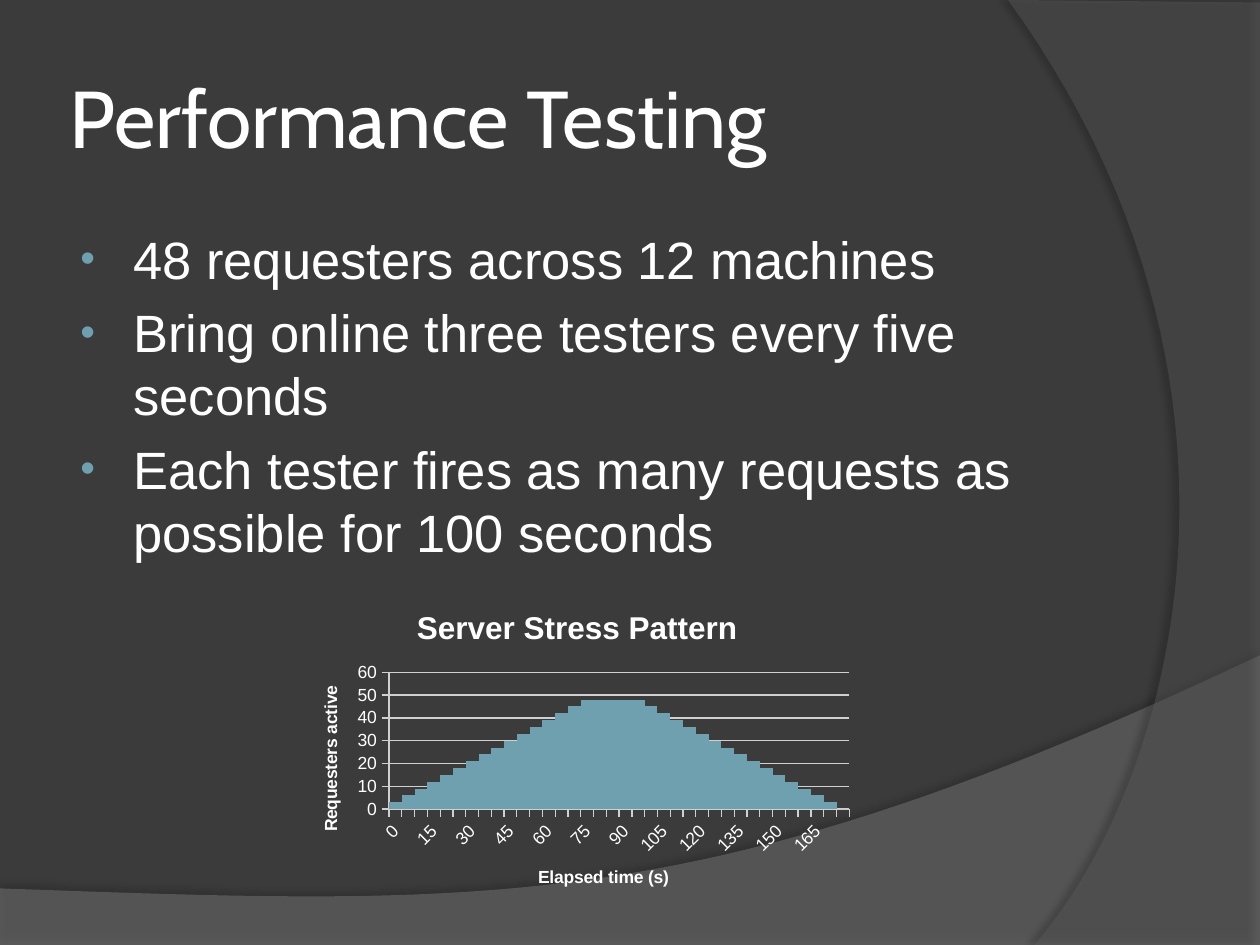
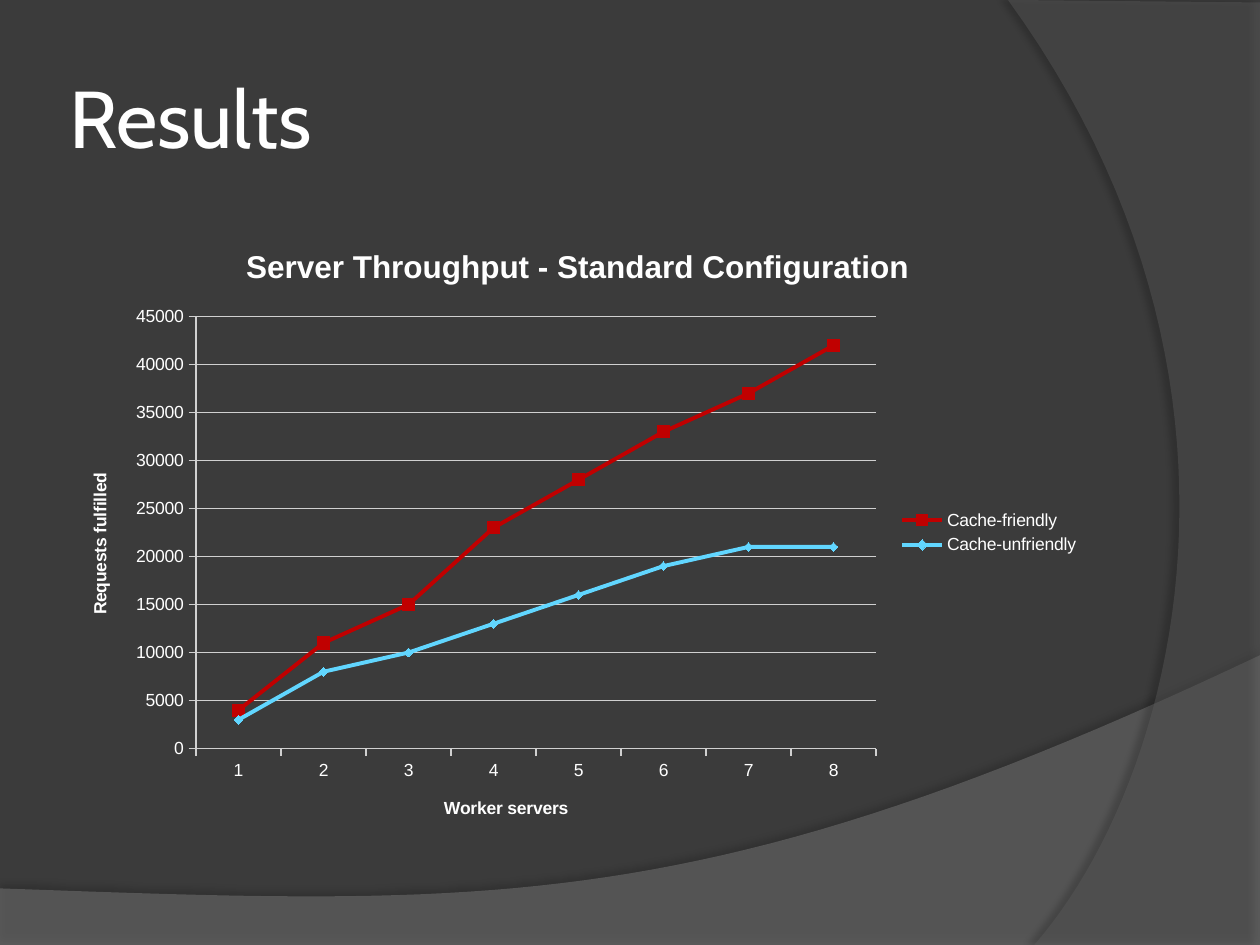
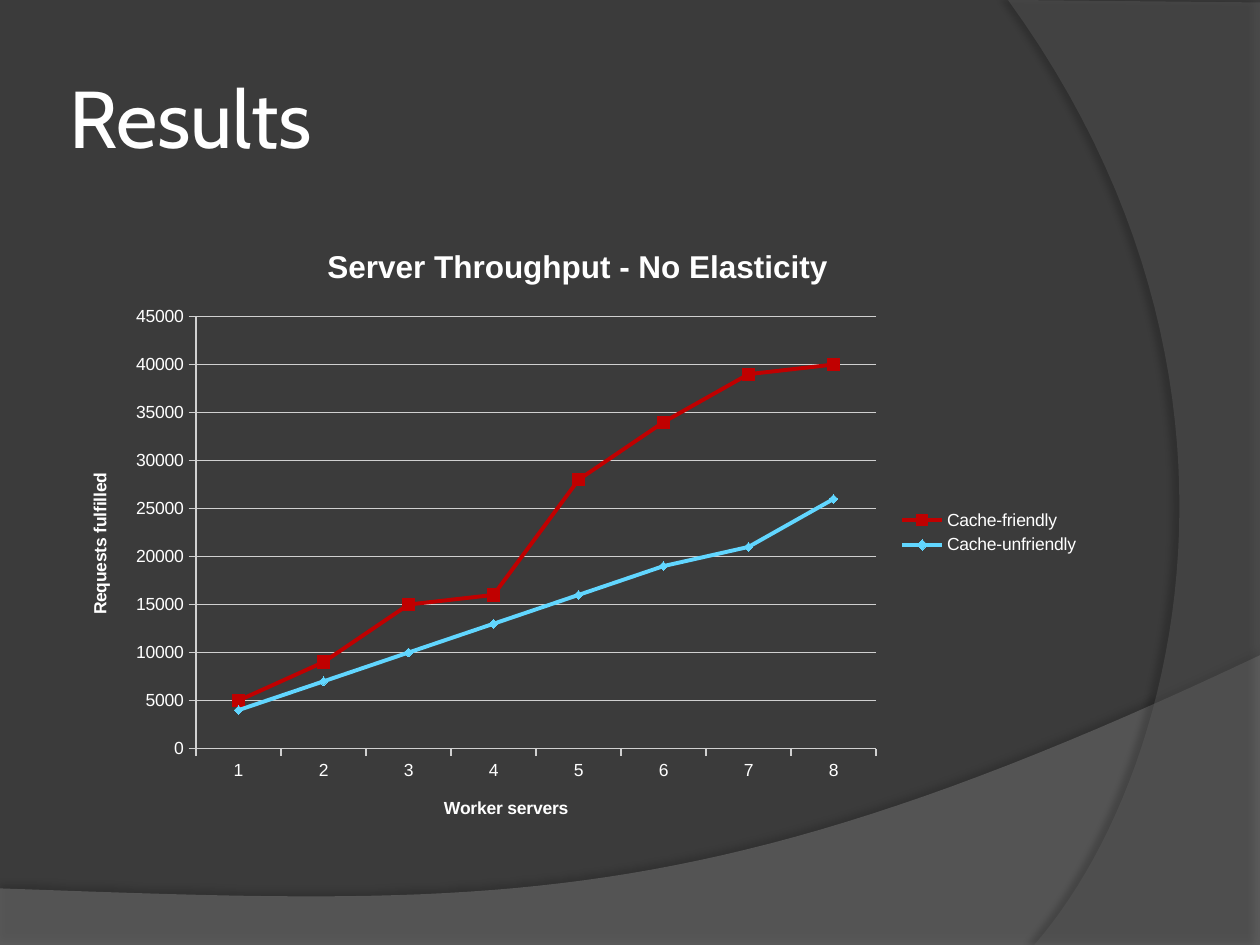
import pptx
import pptx.util
import pptx.chart.data
from pptx.dml.color import RGBColor
from pptx.enum.chart import XL_CHART_TYPE, XL_LEGEND_POSITION, XL_MARKER_STYLE, XL_TICK_MARK
from pptx.enum.text import MSO_ANCHOR
from pptx.oxml import parse_xml
from pptx.oxml.ns import nsdecls, qn

Cm, Pt = pptx.util.Cm, pptx.util.Pt

DARK = RGBColor(0x3B, 0x3B, 0x3B)
GREY = RGBColor(0x80, 0x80, 0x80)
SLATE = RGBColor(0x5F, 0x5F, 0x5F)
WHITE = RGBColor(0xFF, 0xFF, 0xFF)
PALE = RGBColor(0xD0, 0xD0, 0xD0)
TEAL = RGBColor(0x6E, 0xA0, 0xB0)
RED = RGBColor(0xC0, 0x00, 0x00)
SKY = RGBColor(0x61, 0xD6, 0xFF)
HEAD, BODY = "Cabin", "Arial"

# Content: all lengths in centimetres
SIZE = (25.4, 19.05)
TITLE = (1.27, 0.76, 20.75, 3.18)
MAIN = (1.27, 4.45, 20.75, 12.57)
SMALL = (5.92, 11.86, 11.43, 6.55)

# Straight corners, then the controls and end of the curve that closes the band
BANDS = [
    dict(line=[(0, 17.91), (0, 19.05), (25.4, 19.05), (25.4, 13.21)],
         curve=[(14.2, 18.52), (9.93, 18.26), (0, 17.91)],
         color=GREY, alpha=45, shade=35, dist=3.5, turn=270),
    dict(line=[(25.4, 0.05), (25.4, 19.05), (20.85, 19.05)],
         curve=[(23.75, 15.72), (25.86, 7.62), (20.32, 0)],
         color=SLATE, alpha=40, shade=45, dist=4, turn=180),
]

RAMP = list(range(3, 48, 3))
STRESS = dict(
    title="Server Stress Pattern", x="Elapsed time (s)", y="Requesters active",
    cats=[str(sec) for sec in range(0, 180, 5)], box=SMALL, bars=True,
    rows=[("Series 1", RAMP + [48] * 5 + RAMP[::-1] + [0], TEAL)])


def load(title, good, bad):
    """Describe a throughput chart, its values in thousands."""
    return dict(
        title=title, x="Worker servers", y="Requests fulfilled",
        cats=[str(num) for num in range(1, 9)], box=MAIN, bars=False,
        rows=[("Cache-friendly", [val * 1000 for val in good], RED),
              ("Cache-unfriendly", [val * 1000 for val in bad], SKY)])


SLIDES = [
    dict(title="Performance Testing", chart=STRESS, points=[
        "48 requesters across 12 machines",
        "Bring online three testers every five seconds",
        "Each tester fires as many requests as possible for 100 seconds"]),
    dict(title="Results", chart=load(
        "Server Throughput - Standard Configuration",
        [4, 11, 15, 23, 28, 33, 37, 42], [3, 8, 10, 13, 16, 19, 21, 21])),
    dict(title="Results", chart=load(
        "Server Throughput - No Elasticity",
        [5, 9, 15, 16, 28, 34, 39, 40], [4, 7, 10, 13, 16, 19, 21, 26])),
]
MARKS = [(XL_MARKER_STYLE.SQUARE, 7), (XL_MARKER_STYLE.DIAMOND, 5)]


def style(font, size, bold=False, name=BODY):
    font.name, font.size, font.bold = name, Pt(size), bold
    font.color.rgb = WHITE


def text(slide, lines, box, size, name=BODY, anchor=MSO_ANCHOR.TOP, bullet=False):
    frame = slide.shapes.add_textbox(*map(Cm, box)).text_frame
    frame.word_wrap = True
    frame.vertical_anchor = anchor
    frame.margin_left = frame.margin_right = Cm(0.25 if bullet else 0.13)
    for pos, line in enumerate(lines):
        para = frame.paragraphs[0] if pos == 0 else frame.add_paragraph()
        run = para.add_run()
        run.text = line
        style(run.font, size, name=name)
        if bullet:
            para.space_before = Pt(size * 0.2)
            props = para._p.get_or_add_pPr()
            props.set("marL", str(Cm(1.17)))
            props.set("indent", str(Cm(-1.07)))
            for part in (f'<a:buClr {nsdecls("a")}><a:srgbClr val="{TEAL}"/></a:buClr>',
                         f'<a:buSzPct {nsdecls("a")} val="80000"/>',
                         f'<a:buFont {nsdecls("a")} typeface="{BODY}"/>',
                         f'<a:buChar {nsdecls("a")} char="•"/>'):
                props.append(parse_xml(part))


def bend(start, one, two, end, steps=48):
    """Points along a cubic curve, its start left out."""
    for step in range(1, steps + 1):
        t = step / steps
        s = 1 - t
        yield tuple(s**3 * a + 3 * s * s * t * b + 3 * s * t * t * c + t**3 * d
                    for a, b, c, d in zip(start, one, two, end))


def band(slide, line, curve, color, alpha, shade, dist, turn):
    dots = [(Cm(x), Cm(y)) for x, y in line + list(bend(line[-1], *curve))]
    pen = slide.shapes.build_freeform(*dots[0])
    pen.add_line_segments(dots[1:], close=True)
    shape = pen.convert_to_shape()
    shape.line.fill.background()
    shape.fill.solid()
    shape.fill.fore_color.rgb = color
    tint = shape._element.spPr.find(qn("a:solidFill"))[0]
    tint.append(parse_xml(f'<a:alpha {nsdecls("a")} val="{alpha * 1000}"/>'))
    shape._element.spPr.append(parse_xml(
        f'<a:effectLst {nsdecls("a")}><a:outerShdw blurRad="{Pt(4)}" dist="{Pt(dist)}" '
        f'dir="{turn * 60000}" algn="ctr" rotWithShape="0"><a:srgbClr val="000000">'
        f'<a:alpha val="{shade * 1000}"/></a:srgbClr></a:outerShdw></a:effectLst>'))


def label(owner, words, size):
    frame = owner.text_frame
    frame.text = words
    style(frame.paragraphs[0].runs[0].font, size, bold=True)


def graph(slide, title, x, y, cats, box, bars, rows):
    data = pptx.chart.data.CategoryChartData()
    data.categories = cats
    for name, vals, _ in rows:
        data.add_series(name, vals)
    kind = XL_CHART_TYPE.COLUMN_CLUSTERED if bars else XL_CHART_TYPE.LINE_MARKERS
    chart = slide.shapes.add_chart(kind, *map(Cm, box), data).chart
    style(chart.font, 10)
    chart.has_title = True
    label(chart.chart_title, title, 18)
    chart.chart_title.include_in_layout = False

    # Axes
    for axis, words in ((chart.category_axis, x), (chart.value_axis, y)):
        axis.has_title = True
        label(axis.axis_title, words, 10)
        axis.major_tick_mark = XL_TICK_MARK.OUTSIDE
        axis.minor_tick_mark = XL_TICK_MARK.NONE
        axis.format.line.color.rgb = PALE
        axis.format.line.width = Pt(0.75)
    rule = chart.value_axis.major_gridlines.format.line
    rule.color.rgb, rule.width = PALE, Pt(0.75)

    # Series
    plot = chart.plots[0]
    plot.vary_by_categories = False
    for series, (_, _, color), (mark, size) in zip(plot.series, rows, MARKS):
        if bars:
            series.format.fill.solid()
            series.format.fill.fore_color.rgb = color
            continue
        series.smooth = False
        series.format.line.color.rgb = color
        series.format.line.width = Pt(2.25)
        series.marker.style, series.marker.size = mark, size
        series.marker.format.fill.solid()
        series.marker.format.fill.fore_color.rgb = color
        series.marker.format.line.color.rgb = color

    chart.has_legend = not bars
    if bars:
        plot.gap_width = 0
        style(chart.category_axis.tick_labels.font, 10)
        axis = chart.category_axis._element
        axis.find(qn("c:txPr")).find(qn("a:bodyPr")).set("rot", "-2700000")
        axis.find(qn("c:noMultiLvlLbl")).addprevious(
            parse_xml(f'<c:tickLblSkip {nsdecls("c")} val="3"/>'))
    else:
        chart.legend.position = XL_LEGEND_POSITION.RIGHT
        chart.legend.include_in_layout = False

    # Clear backgrounds
    clear = f'<c:spPr {nsdecls("c", "a")}><a:noFill/><a:ln><a:noFill/></a:ln></c:spPr>'
    body = chart._chartSpace.find(qn("c:chart"))
    body.addnext(parse_xml(clear))
    body.find(qn("c:plotArea")).append(parse_xml(clear))


def main():
    deck = pptx.Presentation()
    deck.slide_width, deck.slide_height = map(Cm, SIZE)
    back = deck.slide_master.background.fill
    back.solid()
    back.fore_color.rgb = DARK
    for page in SLIDES:
        slide = deck.slides.add_slide(deck.slide_layouts[6])
        for spec in BANDS:
            band(slide, **spec)
        text(slide, [page["title"]], TITLE, 46, name=HEAD, anchor=MSO_ANCHOR.MIDDLE)
        if "points" in page:
            text(slide, page["points"], MAIN, 30, bullet=True)
        graph(slide, **page["chart"])
    deck.save("out.pptx")


if __name__ == "__main__":
    main()
